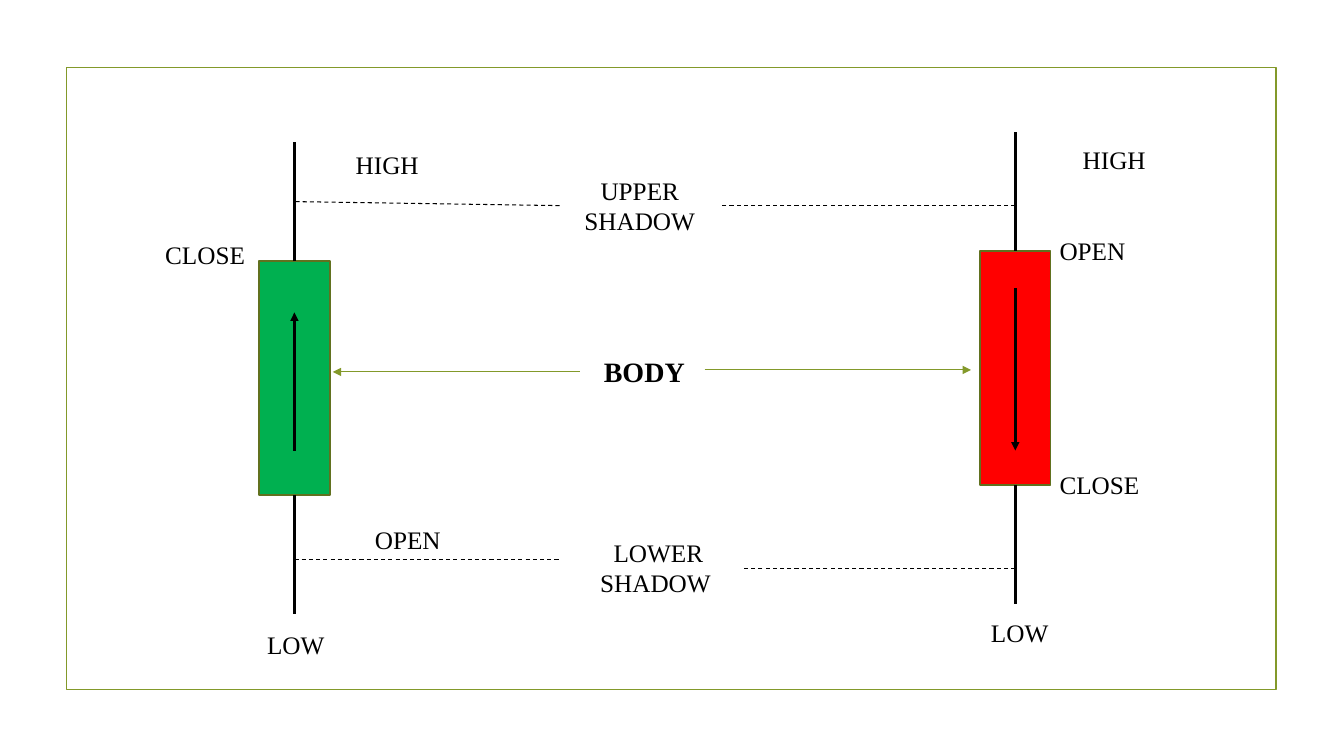
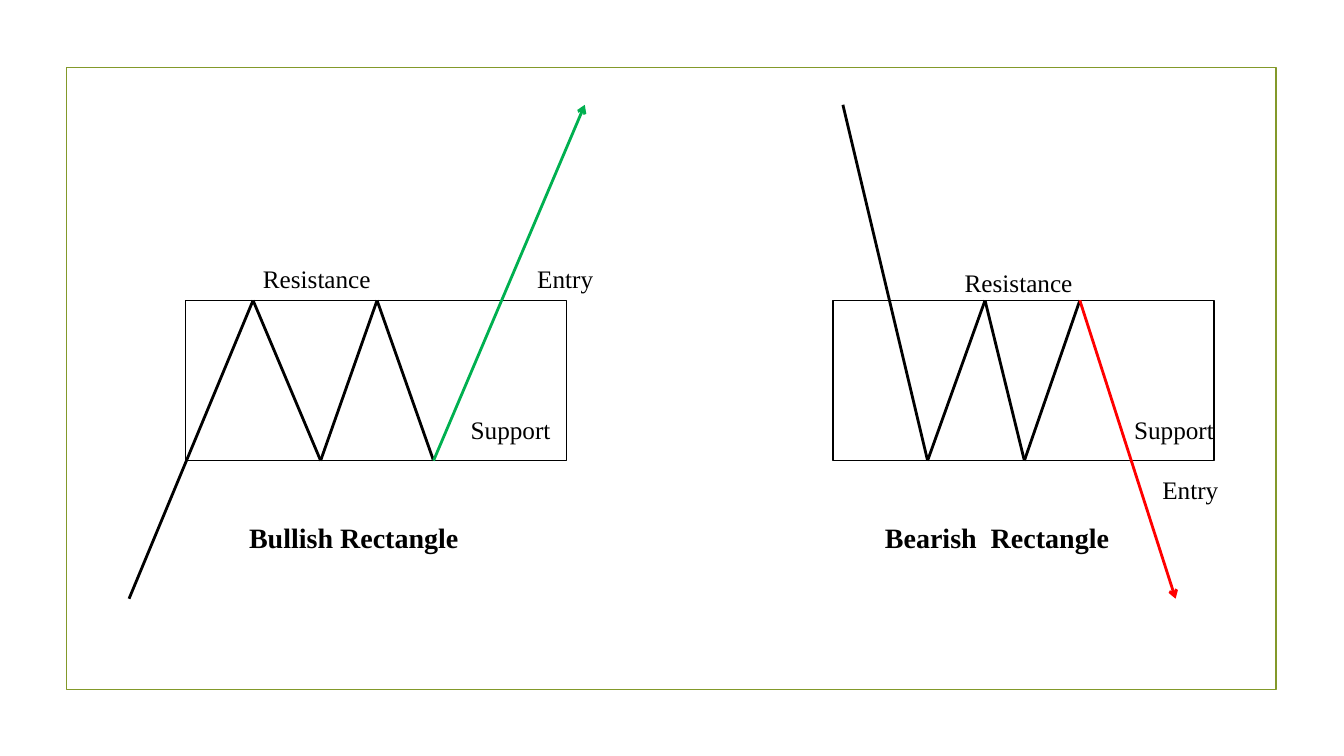
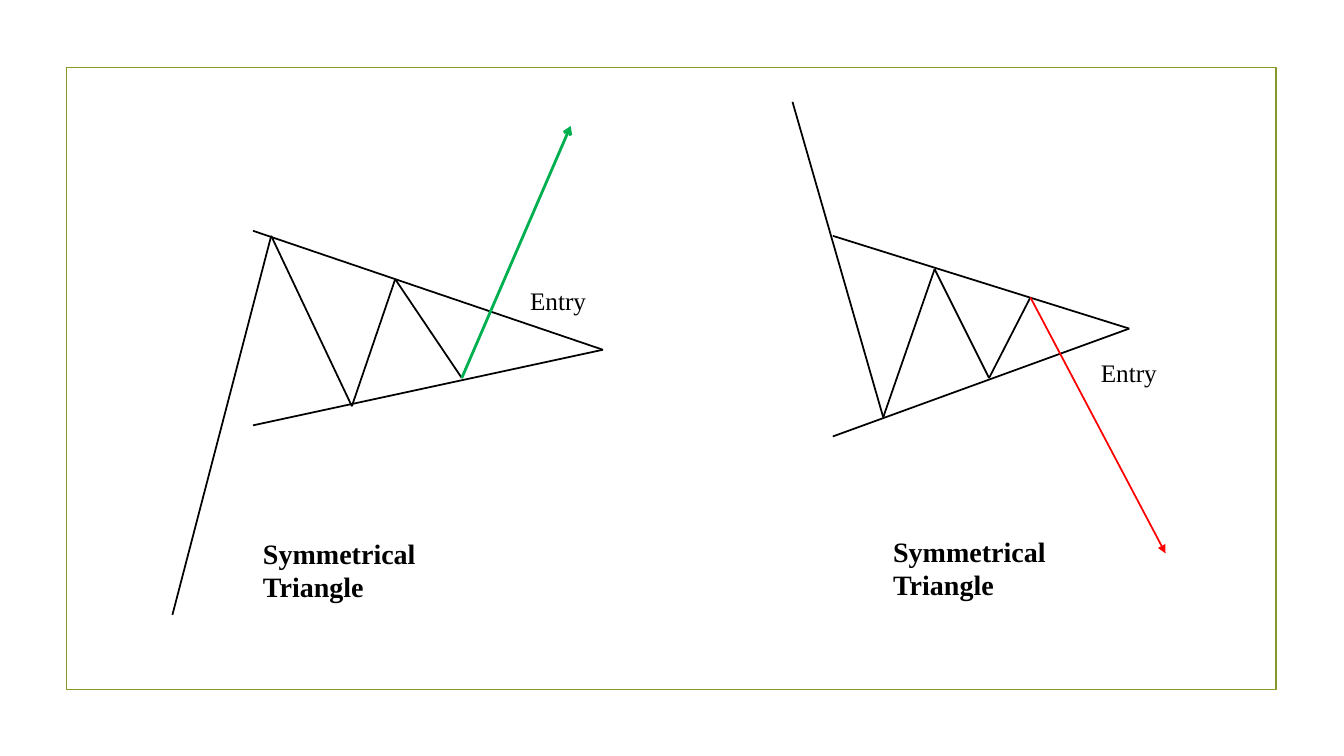
"""Build three slides on candlesticks and chart patterns."""
from dataclasses import dataclass
from itertools import pairwise

from lxml import etree
from pptx import Presentation
from pptx import util as u
from pptx.dml.color import RGBColor
from pptx.enum import dml, shapes, text
from pptx.oxml import ns


@dataclass(frozen=True)
class Theme:
    font: str = "Times New Roman"
    ink: str = "000000"
    paper: str = "FFFFFF"
    accent: str = "83992A"
    bar_edge: str = "61711F"
    rise: str = "00B050"
    fall: str = "FF0000"
    label: int = 18
    heading: int = 20
    hair: float = 0.75
    medium: float = 1.25
    heavy: float = 2


THEME = Theme()
FRAME = (0.66, 0.67, 12, 6.17)

BAR_SIZE = (0.7, 2.32)
WICK = 1.18
CANDLES = [
    dict(center=2.92, top=2.59, color=THEME.rise, arrow=(4.47, 3.1)),
    dict(center=10.07, top=2.49, color=THEME.fall, arrow=(2.86, 4.47)),
]
SHADOW_GUIDES = [
    ((5.55, 2.04), (2.92, 2)),
    ((2.92, 5.55), (5.55, 5.55)),
    ((10.07, 2.04), (7.14, 2.04)),
    ((10.07, 5.64), (7.37, 5.64)),
]
BODY_ARROWS = [((6.99, 3.67), (9.63, 3.67)), ((5.75, 3.69), (3.3, 3.69))]
CANDLE_LABELS = [
    ("HIGH", 3.43, 1.43, 1),
    ("CLOSE", 1.54, 2.33, 1.33),
    ("OPEN", 3.62, 5.15, 1.25),
    ("LOW", 2.55, 6.19, 0.88),
    ("HIGH", 10.64, 1.38, 1),
    ("OPEN", 10.41, 2.29, 1.25),
    ("CLOSE", 10.41, 4.61, 1.25),
    ("LOW", 9.73, 6.08, 0.88),
]
SHADOW_LABELS = [("UPPER SHADOW", 5.55, 1.69, 1.59), ("LOWER SHADOW ", 5.55, 5.28, 1.96)]

RESISTANCE, SUPPORT = 2.98, 4.57
RANGE_WIDTH = 3.78
RECTANGLES = [
    dict(
        name=("Bullish Rectangle", 1.98, 5.11, 3.06), left=1.84, color=THEME.rise,
        price=[(1.28, 5.94), (2.51, RESISTANCE), (3.18, SUPPORT),
               (3.74, RESISTANCE), (4.3, SUPPORT), (5.8, 1.04)],
        labels=[("Resistance", 2.51, 2.56, 2), ("Support", 4.57, 4.06, 2),
                ("Entry", 5.23, 2.56, 2)],
    ),
    dict(
        name=("Bearish  Rectangle", 8.36, 5.11, 3.06), left=8.26, color=THEME.fall,
        price=[(8.36, 1.04), (9.2, SUPPORT), (9.77, RESISTANCE),
               (10.16, SUPPORT), (10.71, RESISTANCE), (11.66, 5.94)],
        labels=[("Resistance", 9.47, 2.6, 2), ("Support", 11.15, 4.06, 2),
                ("Entry", 11.43, 4.66, 2)],
    ),
]

TRIANGLES = [
    dict(
        name=("Symmetrical Triangle", 2.51, 5.27, 2.7),
        edges=[(2.51, 2.29), (5.98, 3.47), (2.51, 4.22)],
        price=[(1.71, 6.1), (2.69, 2.34), (3.49, 4.03), (3.92, 2.77),
               (4.58, 3.75), (5.66, 1.25)],
        color=THEME.rise, breakout=(THEME.heavy, "arrow"),
        entry=("Entry", 5.16, 2.78, 2),
    ),
    dict(
        name=("Symmetrical Triangle", 8.76, 5.25, 2.7),
        edges=[(8.26, 2.34), (11.2, 3.26), (8.26, 4.33)],
        price=[(7.86, 1.01), (8.76, 4.14), (9.27, 2.67), (9.81, 3.75),
               (10.22, 2.95), (11.56, 5.49)],
        color=THEME.fall, breakout=(THEME.medium, "triangle"),
        entry=("Entry", 10.82, 3.5, 2),
    ),
]


def add_line(slide, start, end, color=THEME.ink, width=THEME.heavy, head=None, dashed=False):
    line = slide.shapes.add_connector(
        shapes.MSO_CONNECTOR.STRAIGHT, *map(u.Inches, (*start, *end)))
    line.line.color.rgb = RGBColor.from_string(color)
    line.line.width = u.Pt(width)
    if dashed:
        line.line.dash_style = dml.MSO_LINE.DASH
    properties = line.element.spPr
    if head:
        etree.SubElement(properties.find(ns.qn("a:ln")), ns.qn("a:tailEnd"), type=head)
    etree.SubElement(properties, ns.qn("a:effectLst"))
    return line


def add_box(slide, left, top, width, height, edge, fill=None):
    box = slide.shapes.add_shape(
        shapes.MSO_SHAPE.RECTANGLE, *map(u.Inches, (left, top, width, height)))
    box.shadow.inherit = False
    if fill:
        box.fill.solid()
        box.fill.fore_color.rgb = RGBColor.from_string(fill)
    else:
        box.fill.background()
    box.line.color.rgb = RGBColor.from_string(edge)
    box.line.width = u.Pt(THEME.medium)
    return box


def add_label(slide, words, left, top, width, heading=False, centered=False):
    label = slide.shapes.add_textbox(*map(u.Inches, (left, top, width, 0.4)))
    frame = label.text_frame
    frame.word_wrap = True
    frame.auto_size = text.MSO_AUTO_SIZE.SHAPE_TO_FIT_TEXT
    paragraph = frame.paragraphs[0]
    paragraph.alignment = text.PP_ALIGN.CENTER if centered else text.PP_ALIGN.LEFT
    run = paragraph.add_run()
    run.text = words
    run.font.name = THEME.font
    run.font.size = u.Pt(THEME.heading if heading else THEME.label)
    run.font.bold = heading
    run.font.color.rgb = RGBColor.from_string(THEME.ink)


def add_price(slide, points, width, color, breakout):
    *swings, target = points
    for start, end in pairwise(swings):
        add_line(slide, start, end, width=width)
    breakout_width, head = breakout
    add_line(slide, swings[-1], target, color, breakout_width, head)


def draw_candles(slide):
    width, height = BAR_SIZE
    for candle in CANDLES:
        center, top = candle["center"], candle["top"]
        bottom = top + height
        bar = add_box(slide, center - width / 2, top, width, height,
                      THEME.bar_edge, candle["color"])
        for site, near, far in ((0, top, top - WICK), (2, bottom, bottom + WICK)):
            wick = add_line(slide, (center, near), (center, far))
            wick.begin_connect(bar, site)
        start, end = candle["arrow"]
        add_line(slide, (center, start), (center, end), head="triangle")
    for start, end in SHADOW_GUIDES:
        add_line(slide, start, end, width=THEME.hair, dashed=True)
    for start, end in BODY_ARROWS:
        add_line(slide, start, end, THEME.accent, THEME.hair, "triangle")
    for label in CANDLE_LABELS:
        add_label(slide, *label)
    for label in SHADOW_LABELS:
        add_label(slide, *label, centered=True)
    add_label(slide, "BODY", 5.89, 3.47, 1.59, heading=True)


def draw_rectangles(slide):
    for pattern in RECTANGLES:
        add_box(slide, pattern["left"], RESISTANCE, RANGE_WIDTH, SUPPORT - RESISTANCE,
                THEME.ink, THEME.paper)
        add_price(slide, pattern["price"], THEME.heavy, pattern["color"],
                  (THEME.heavy, "arrow"))
        add_label(slide, *pattern["name"], heading=True, centered=True)
        for label in pattern["labels"]:
            add_label(slide, *label)


def draw_triangles(slide):
    for pattern in TRIANGLES:
        for start, end in pairwise(pattern["edges"]):
            add_line(slide, start, end, width=THEME.medium)
        add_price(slide, pattern["price"], THEME.medium, pattern["color"],
                  pattern["breakout"])
        add_label(slide, *pattern["name"], heading=True)
        add_label(slide, *pattern["entry"])


def main():
    deck = Presentation()
    deck.slide_width, deck.slide_height = u.Inches(13.33), u.Inches(7.5)
    layout = deck.slide_layouts[6]
    candles, rectangles, triangles = [deck.slides.add_slide(layout) for _ in range(3)]
    border = add_box(candles, *FRAME, THEME.accent)
    layout.element.cSld.spTree.append(border.element)
    draw_candles(candles)
    draw_rectangles(rectangles)
    draw_triangles(triangles)
    deck.save("out.pptx")


if __name__ == "__main__":
    main()
